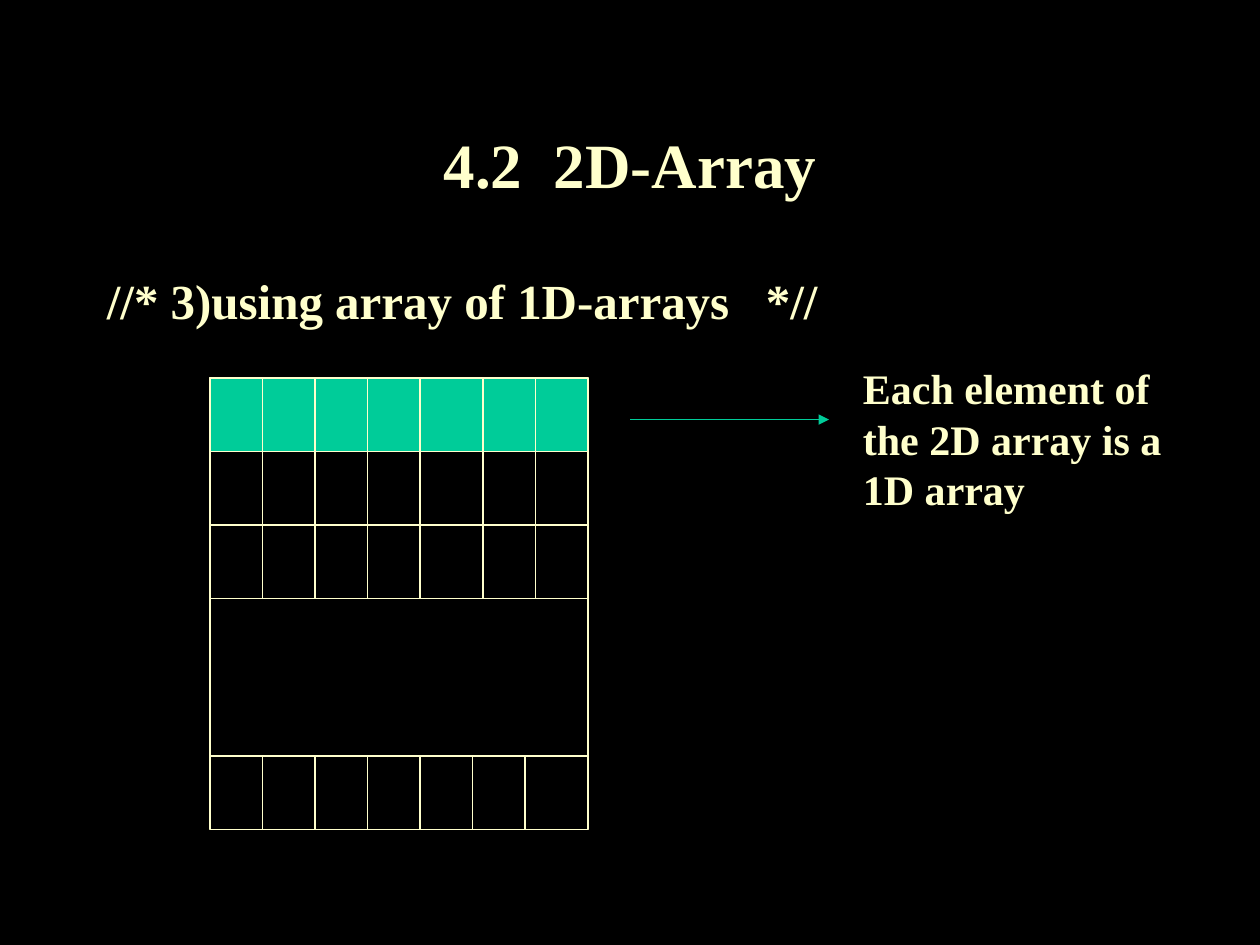
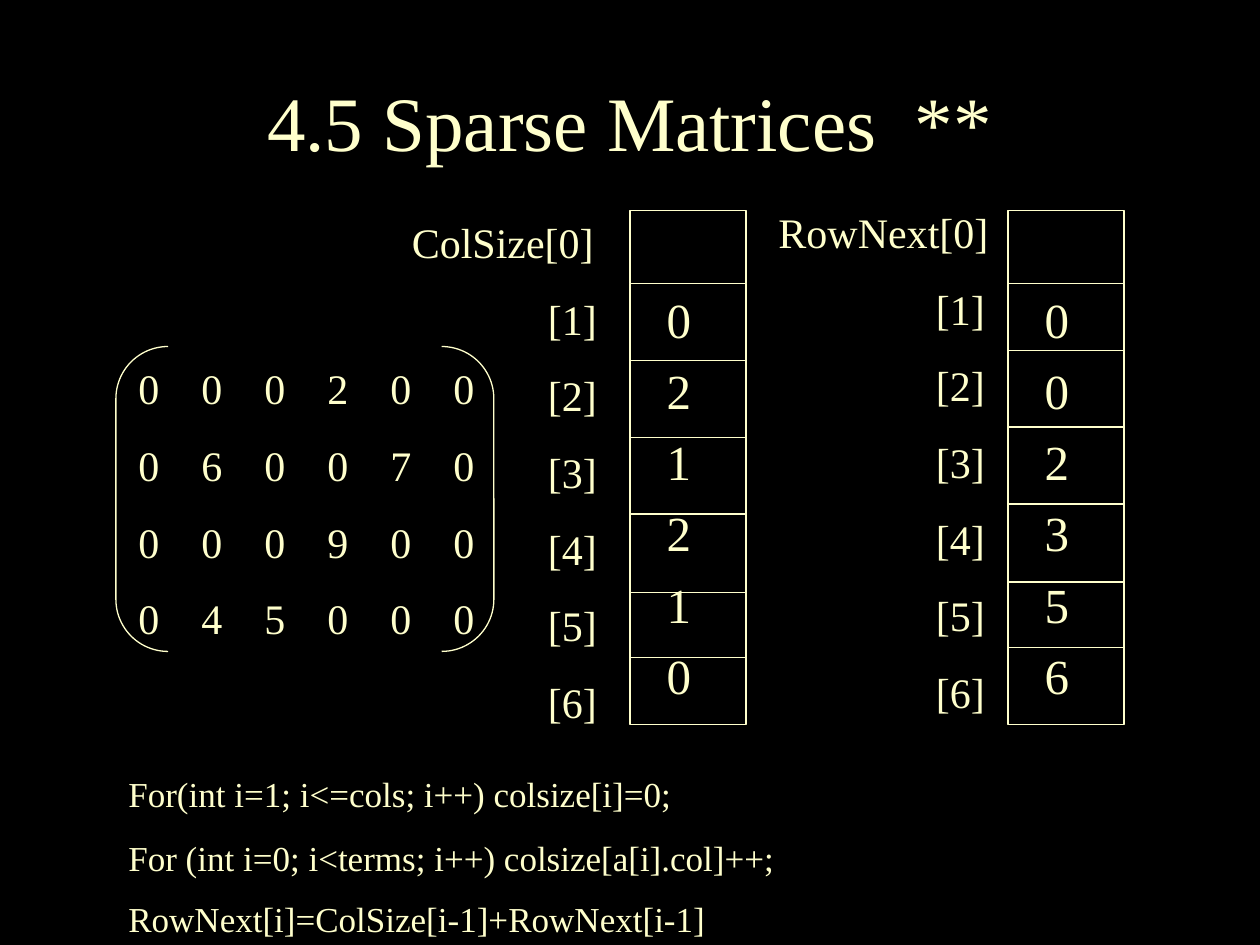
from lxml import etree
from pptx import Presentation
from pptx import util as u
from pptx.dml.color import RGBColor
from pptx.enum import shapes, text
from pptx.oxml import ns

HUE = {"back": "000000", "ink": "FFFFCC", "mark": "00CC99"}
FACE = "Times New Roman"
UNIT = 1 / 12  # grid step in inches
PAD = {"margin_left": 0.1, "margin_right": 0.1,
       "margin_top": 0.05, "margin_bottom": 0.05}


def rgb(name):
    return RGBColor.from_string(HUE[name])


def put(item, form):
    for key, val in form.items():
        setattr(item, key, val)


def add_page(deck, title, top, size, bold=False):
    page = deck.slides.add_slide(deck.slide_layouts[6])
    page.background.fill.solid()
    page.background.fill.fore_color.rgb = rgb("back")
    add_text(page, (0.75, top, 8.5, 1.25), [title], size, bold=bold,
             align=text.PP_ALIGN.CENTER, anchor=text.MSO_ANCHOR.MIDDLE)
    return page


def write(frame, lines, size, gap=0, bold=False, align=text.PP_ALIGN.LEFT,
          anchor=text.MSO_ANCHOR.TOP, shift=0, stops=()):
    """Fill a frame; shift indents every line after the first."""
    put(frame, {key: u.Inches(val) for key, val in PAD.items()})
    put(frame, {"word_wrap": True, "vertical_anchor": anchor})
    for i, line in enumerate(lines):
        para = frame.paragraphs[0] if i == 0 else frame.add_paragraph()
        para.text = line
        props = para._p.get_or_add_pPr()
        if i:
            para.space_before = u.Pt(gap)
            if shift:
                props.set("marL", str(u.Inches(shift)))
        if stops:
            tabs = etree.SubElement(props, ns.qn("a:tabLst"))
            for stop in stops:
                etree.SubElement(tabs, ns.qn("a:tab"),
                                 pos=str(u.Inches(stop)), algn="l")
        para.alignment = align
        put(para.font, {"name": FACE, "size": u.Pt(size), "bold": bold})
        para.font.color.rgb = rgb("ink")


def add_text(page, area, lines, size, **form):
    box = page.shapes.add_textbox(*map(u.Inches, area))
    write(box.text_frame, lines, size, **form)


def add_box(page, area, fill=None, kind=shapes.MSO_SHAPE.RECTANGLE):
    box = page.shapes.add_shape(kind, *map(u.Inches, area))
    box.shadow.inherit = False
    if fill:
        box.fill.solid()
        box.fill.fore_color.rgb = rgb(fill)
    else:
        box.fill.background()
    box.line.color.rgb = rgb("ink")
    box.line.width = u.Pt(0.75)
    return box


def add_line(page, x1, y1, x2, y2, hue="ink", arrow=False):
    line = page.shapes.add_connector(
        shapes.MSO_CONNECTOR.STRAIGHT, *map(u.Inches, (x1, y1, x2, y2)))
    line.line.color.rgb = rgb(hue)
    line.line.width = u.Pt(0.75)
    if arrow:
        etree.SubElement(line.line._get_or_add_ln(), ns.qn("a:tailEnd"),
                         type="triangle")
    etree.SubElement(line._element.spPr, ns.qn("a:effectLst"))
    return line


def add_grid(page, left, top):
    """Draw the 2D array: three rows, a gap, then the last row."""
    wide, row, last = 3, 7 * UNIT, 3
    add_box(page, (left, top, wide, row), "mark")
    add_box(page, (left, top, wide, row + last))
    for drop in (row, 2 * row, 3 * row, last):
        add_line(page, left, top + drop, left + wide, top + drop)
    bands = [((5, 10, 15, 20, 26, 31), 0, 3 * row),
             (range(5, 31, 5), last, last + row)]
    for steps, start, end in bands:
        for step in steps:
            x = left + step * UNIT
            add_line(page, x, top + start, x, top + end)


def add_list(page, left, name, vals, span, lift, shift):
    """Draw a column of values with its index labels on the left."""
    top, wide, tall = 2.25, 0.92, 3.5
    add_box(page, (left, top - 0.58, wide, 0.58))
    cells = add_box(page, (left, top, wide, tall))
    write(cells.text_frame, vals, 28, gap=7)
    cells.text_frame.margin_left = u.Inches(0.29)
    for y in (2.86, 3.47, 4.08, 4.7, 5.22):
        rule = add_line(page, left, y - lift, left + wide, y - lift)
        if abs(y - lift - top - tall / 2) < 0.01:
            rule.begin_connect(cells, 1)
            rule.end_connect(cells, 3)
    labels = [f"{name}[0]"] + [f"[{i}]" for i in range(1, 7)]
    add_text(page, (left - span, 1.67 - lift, span, 4.15), labels, 24,
             gap=15, shift=shift)


def add_matrix(page, rows):
    add_text(page, (1, 2.83, 2.92, 2.33), ["\t".join(row) for row in rows],
             24, gap=15, stops=[i / 2 for i in range(1, 6)])
    pair = add_box(page, (0.92, 2.75, 3, 2.42),
                   kind=shapes.MSO_SHAPE.DOUBLE_BRACKET)
    pair.adjustments[0] = 0.171


def main():
    deck = Presentation()
    put(deck, {"slide_width": u.Inches(10), "slide_height": u.Inches(7.5)})

    page = add_page(deck, "4.2  2D-Array", 0.67, 36, True)
    add_text(page, (0.75, 2.1, 8.83, 0.6),
             ["//* 3)using array of 1D-arrays   *//"], 28, bold=True)
    add_grid(page, 20 * UNIT, 3)
    add_line(page, 5, 3.33, 6.58, 3.33, "mark", arrow=True)
    add_text(page, (6.75, 2.83, 2.92, 1.3),
             ["Each element of the 2D array is a 1D array"], 24, bold=True)

    page = add_page(deck, "4.5 Sparse Matrices  **", 0.33, 44)
    add_matrix(page, ["000200", "060070", "000900", "045000"])
    add_list(page, 5, "ColSize", "021210", 1.83, 0, 1.08)
    add_list(page, 8, "RowNext", "002356", 1.92, 0.08, 1.25)
    add_text(page, (0.92, 6.08, 8.42, 0.94),
             ["For(int i=1; i<=cols; i++) colsize[i]=0;",
              "For (int i=0; i<terms; i++) colsize[a[i].col]++;"],
             20, gap=12.5)
    add_text(page, (0.92, 7.07, 8.33, 0.44),
             ["RowNext[i]=ColSize[i-1]+RowNext[i-1]"], 20)
    deck.save("out.pptx")


if __name__ == "__main__":
    main()
